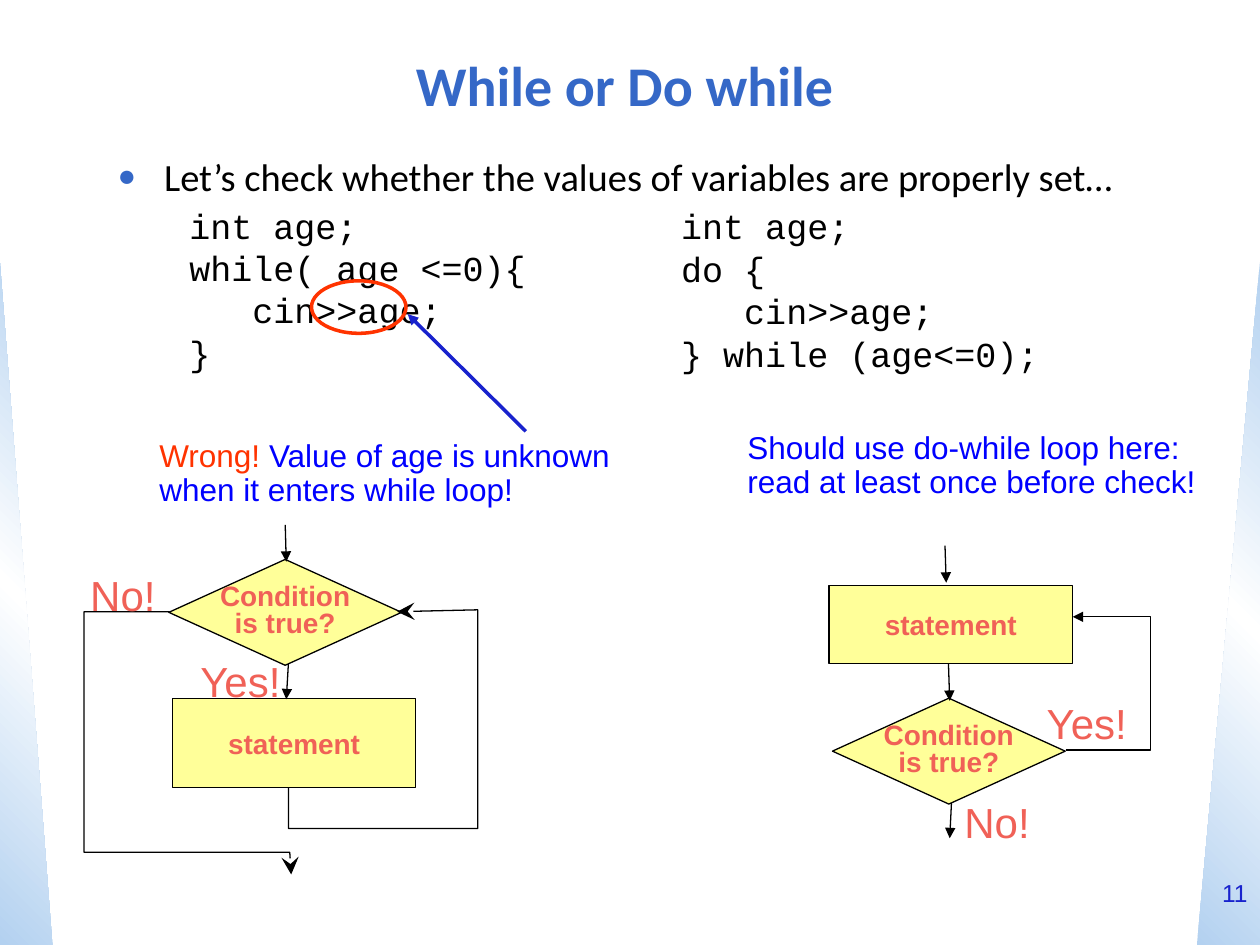
from lxml.etree import SubElement
from pptx import Presentation
from pptx.dml.color import RGBColor
from pptx.enum.shapes import MSO_CONNECTOR as Connector, MSO_SHAPE as Shape
from pptx.enum.text import MSO_ANCHOR as Anchor, MSO_AUTO_SIZE as AutoSize, PP_ALIGN as Align
from pptx.oxml.ns import qn
from pptx.util import Pt

COLORS = {
    "heading": "3568C7", "black": "000000", "red": "FF3300", "navy": "1822CD",
    "blue": "0000FF", "coral": "F06157", "yellow": "FFFF99",
    "edge": "B3D1F0", "white": "FFFFFF",
}
TITLE = "While or Do while"
BULLET = "Let’s check whether the values of variables are properly set…"
WHILE_CODE = ["int age;", "while( age <=0){", "   cin>>age;", "}"]
DO_CODE = ["int age;", "do {", "   cin>>age;", "} while (age<=0);"]
CODE_FORMAT = {"size": 20, "font": "Courier New", "spacing": Pt(24.2)}
# left, top, width, height, flipped, gradient angle
SIDES = [(0, 150, 30, 390, False, 315), (684, 150, 36, 390, True, 45)]

DECISION_SIZE = (133, 60.5)
FLOWCHARTS = [
    {  # while loop
        "decision": (96.5, 319.7),
        "statement": (98.6, 399, 139, 51),
        "arrows": [(163, 300, 163.6, 321), (164.8, 379.5, 163.6, 399.6)],
        "routes": [
            ("stealth", [(164.9, 450), (164.9, 473.5), (273, 473.5), (273, 348.5), (227, 349.6)]),
            ("stealth", [(97, 349.6), (48, 349.6), (48, 487), (165.6, 487), (166.4, 499.7)]),
        ],
        "labels": [("Yes!", 51.4, 371, 116), ("No!", -9, 322, 105)],
    },
    {  # do-while loop
        "decision": (475.7, 399),
        "statement": (473.8, 334.6, 139, 44.6),
        "arrows": [(540, 311.8, 540.7, 333), (542, 379.5, 542.7, 400.5), (543.7, 459, 542.7, 479)],
        "routes": [("triangle", [(609, 428.6), (657.4, 428.6), (657.4, 352.5), (613, 352.5)])],
        "labels": [("Yes!", 535, 394.8, 116), ("No!", 490.5, 451.5, 105)],
    },
]


def rgb(name):
    return RGBColor.from_string(COLORS[name])


def pts(*values):
    return [Pt(v) for v in values]


def write(tf, text, size=18, color="black", font="Arial", bold=False,
          align=Align.LEFT, spacing=None, same_line=False):
    """Add a run, in a new paragraph unless same_line or the frame is empty."""
    p = tf.paragraphs[-1]
    if p.runs and not same_line:
        p = tf.add_paragraph()
    p.alignment = align
    p.space_before = Pt(0)
    if spacing:
        p.line_spacing = spacing
    r = p.add_run()
    r.text = text
    r.font.size, r.font.name, r.font.bold = Pt(size), font, bold
    r.font.color.rgb = rgb(color)
    return p


def child(parent, tag, **attrs):
    return SubElement(parent, qn(tag), attrs)


def place(sp, left, top, width, height):
    sp.left, sp.top, sp.width, sp.height = pts(left, top, width, height)


def text_box(shapes, box, wrap=True):
    tf = shapes.add_textbox(*pts(*box)).text_frame
    tf.word_wrap = wrap
    if not wrap:
        tf.auto_size = AutoSize.SHAPE_TO_FIT_TEXT
    return tf


def outline(sp, color="black", width=0.75, head=None):
    sp.line.color.rgb = rgb(color)
    sp.line.width = Pt(width)
    if head:
        size = "lg" if head == "stealth" else "med"
        child(sp.element.spPr.find(qn("a:ln")), "a:tailEnd", type=head, w=size, len=size)


def add_arrow(shapes, ends, **line):
    cx = shapes.add_connector(Connector.STRAIGHT, *pts(*ends))
    outline(cx, head="triangle", **line)
    child(cx.element.spPr, "a:effectLst")


def add_route(shapes, points, head):
    points = [pts(*xy) for xy in points]
    builder = shapes.build_freeform(*points[0])
    builder.add_line_segments(points[1:], close=False)
    sp = builder.convert_to_shape()
    sp.shadow.inherit = False
    sp.fill.background()
    outline(sp, head=head)


def add_node(shapes, kind, box, lines, spacing=None):
    sp = shapes.add_shape(kind, *pts(*box))
    sp.shadow.inherit = False
    sp.fill.solid()
    sp.fill.fore_color.rgb = rgb("yellow")
    outline(sp)
    tf = sp.text_frame
    tf.word_wrap = False
    tf.vertical_anchor = Anchor.MIDDLE
    for line in lines:
        write(tf, line, size=16, color="coral", bold=True, align=Align.CENTER, spacing=spacing)


def add_side(s, layer, left, top, width, height, flipped, angle):
    sp = s.shapes.add_shape(Shape.RIGHT_TRIANGLE, *pts(left, top, width, height))
    sp.shadow.inherit = False
    sp.line.fill.background()
    sp.fill.gradient()
    spPr = sp.element.spPr
    grad = spPr.find(qn("a:gradFill"))
    for old in list(grad):
        grad.remove(old)
    stops = child(grad, "a:gsLst")
    for pos, color in ((0, "edge"), (50, "white"), (100, "edge")):
        child(child(stops, "a:gs", pos=str(pos * 1000)), "a:srgbClr", val=COLORS[color])
    child(grad, "a:lin", ang=str(angle * 60000), scaled="0")
    if flipped:
        spPr.find(qn("a:xfrm")).set("flipH", "1")
    s.shapes.element.insert(2 + layer, sp.element)


def indent(p, left, first):
    pPr = p._p.get_or_add_pPr()
    pPr.set("marL", str(Pt(left)))
    pPr.set("indent", str(Pt(first)))
    return pPr


def fill_body(body):
    place(body, 60, 84, 642, 180)
    tf = body.text_frame
    tf.auto_size = AutoSize.NONE
    pPr = indent(write(tf, BULLET, size=22, font="Calibri"), 26.6, -26.6)
    child(child(pPr, "a:buClr"), "a:srgbClr", val=COLORS["heading"])
    child(pPr, "a:buSzPct", val="80000")
    child(pPr, "a:buFont", typeface="Arial")
    child(pPr, "a:buChar", char="●")
    for number, line in enumerate(WHILE_CODE):
        p = write(tf, line, **CODE_FORMAT)
        if number == 0:
            p.space_before = Pt(2.5)
        child(indent(p, 41, 0), "a:buNone")


def add_flowchart(s, chart):
    shapes = s.shapes.add_group_shape().shapes
    add_node(shapes, Shape.FLOWCHART_DECISION, chart["decision"] + DECISION_SIZE,
             ["Condition", "is true?"], spacing=0.8)
    add_node(shapes, Shape.FLOWCHART_PROCESS, chart["statement"], ["statement"])
    for ends in chart["arrows"]:
        add_arrow(shapes, ends)
    for head, points in chart["routes"]:
        add_route(shapes, points, head)
    for text, left, top, width in chart["labels"]:
        write(text_box(shapes, (left, top, width, 36)), text, size=24, color="coral", align=Align.RIGHT)


def main():
    prs = Presentation()
    prs.slide_width, prs.slide_height = pts(720, 540)
    s = prs.slides.add_slide(prs.slide_layouts[1])
    for layer, side in enumerate(SIDES):
        add_side(s, layer, *side)

    title = s.shapes.title
    place(title, 18, 18, 678, 60)
    title.text_frame.vertical_anchor = Anchor.MIDDLE
    write(title.text_frame, TITLE, size=32, color="heading", font="Calibri", bold=True, align=Align.CENTER)
    fill_body(s.placeholders[1])
    do_box = text_box(s.shapes, (382.2, 113.4, 260, 105))
    for line in DO_CODE:
        write(do_box, line, **CODE_FORMAT)

    ring = s.shapes.add_shape(Shape.OVAL, *pts(178, 160.5, 54, 30))
    ring.shadow.inherit = False
    ring.fill.background()
    outline(ring, "red", 2)
    add_arrow(s.shapes, (300.5, 246.5, 233, 179.5), color="navy", width=2)

    wrong = text_box(s.shapes, (84, 248, 318, 46))
    write(wrong, "Wrong!", color="red", spacing=0.9)
    write(wrong, " Value of age is unknown when it enters while loop!",
          color="blue", spacing=0.9, same_line=True)
    advice = text_box(s.shapes, (420, 243.5, 270.5, 46), wrap=False)
    for line in ("Should use do-while loop here:", "read at least once before check!"):
        write(advice, line, color="blue", spacing=0.9)

    for chart in FLOWCHARTS:
        add_flowchart(s, chart)
    write(text_box(s.shapes, (684, 498, 36, 42)), "11", size=14, color="navy", align=Align.RIGHT)
    prs.save("out.pptx")


if __name__ == "__main__":
    main()
